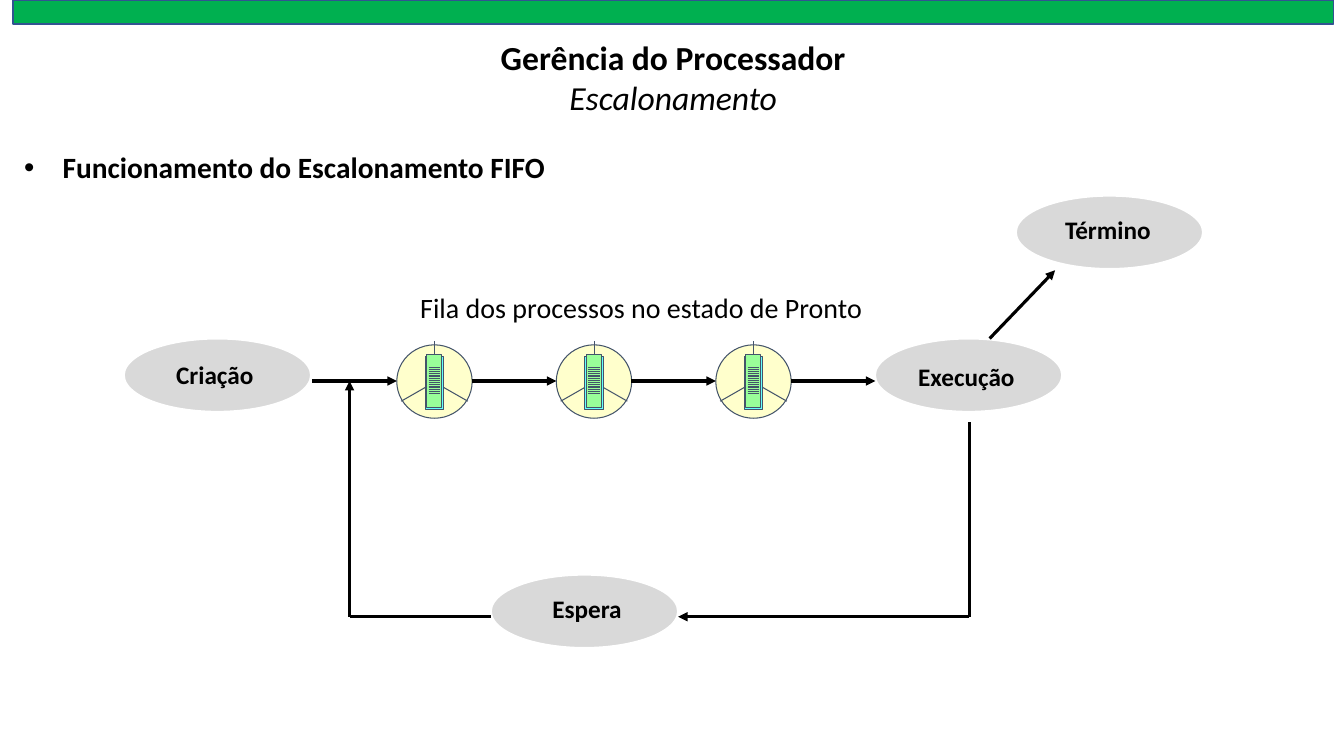
from lxml import etree
from pptx import Presentation
from pptx.dml.color import RGBColor
from pptx.enum.shapes import MSO_CONNECTOR, MSO_SHAPE
from pptx.enum.text import MSO_ANCHOR, PP_ALIGN
from pptx.oxml.ns import qn
from pptx.util import Cm, Pt

RECT, OVAL = MSO_SHAPE.RECTANGLE, MSO_SHAPE.OVAL
LINE = MSO_CONNECTOR.STRAIGHT
LEFT, MID = PP_ALIGN.LEFT, PP_ALIGN.CENTER
TOP = MSO_ANCHOR.TOP

BLACK = RGBColor(0x00, 0x00, 0x00)
WHITE = RGBColor(0xFF, 0xFF, 0xFF)
GREEN = RGBColor(0x00, 0xB0, 0x50)
BLUE = RGBColor(0x32, 0x54, 0x91)
GRAY = RGBColor(0xD9, 0xD9, 0xD9)
SLATE = RGBColor(0x44, 0x54, 0x6A)
CREAM = RGBColor(0xFF, 0xFF, 0xCC)
CYAN = RGBColor(0x66, 0xFF, 0xFF)
MINT = RGBColor(0x99, 0xFF, 0x99)

deck = Presentation()
deck.slide_width, deck.slide_height = Cm(33.87), Cm(19.05)
slide = deck.slides.add_slide(deck.slide_layouts[6])
shapes = slide.shapes


def add_form(kind, box, fill, edge, width):
    form = shapes.add_shape(kind, *map(Cm, box))
    form.shadow.inherit = False
    form.fill.solid()
    form.fill.fore_color.rgb = fill
    form.line.color.rgb = edge
    form.line.width = Pt(width)


def add_line(ends, color=BLACK, width=2.25, arrow=False):
    line = shapes.add_connector(LINE, *map(Cm, ends))
    line.line.color.rgb = color
    line.line.width = Pt(width)
    if arrow:
        tip = etree.SubElement(line.line._get_or_add_ln(), qn("a:tailEnd"))
        tip.set("type", "triangle")
    etree.SubElement(line._element.spPr, qn("a:effectLst"))


# Top bar
add_form(RECT, (0.33, 0, 33.27, 0.61), GREEN, BLUE, 1)

# State ovals
for left, top in [(3.12, 8.53), (22.05, 8.53), (12.37, 14.48), (25.6, 4.93)]:
    add_form(OVAL, (left, top, 4.72, 1.85), GRAY, WHITE, 1.5)

# Queue of ready processes
AXIS, FIRST, STEP = 9.6, 10, 4.02
BARS = 15
for node in range(3):
    left = FIRST + node * STEP
    mid = left + 0.95
    add_form(OVAL, (left, 8.69, 1.9, 1.85), CREAM, SLATE, 0.75)
    add_line((mid, 8.59, mid, AXIS), SLATE, 0.75)
    for side in (0.84, -0.84):
        add_line((mid, 9.63, mid + side, 10.11), SLATE, 0.75)
    add_form(RECT, (mid - 0.23, 8.99, 0.46, 1.32), CYAN, SLATE, 0.75)
    add_form(RECT, (mid - 0.2, 8.94, 0.38, 1.32), MINT, SLATE, 0.75)
    for bar in range(BARS):
        y = 9.27 + 0.64 * bar / (BARS - 1)
        add_line((mid - 0.15, y, mid + 0.14, y), SLATE, 0.75)

# Arrows along the queue
for gap in range(4):
    tip = FIRST + gap * STEP
    add_line((tip - 2.13, AXIS, tip, AXIS), arrow=True)

# Exit arrow and loop through the waiting state
for ends, arrow in [
    ((24.94, 8.53, 26.59, 6.81), True),
    ((24.43, 10.64, 24.43, 15.54), False),
    ((24.43, 15.54, 17.09, 15.54), True),
    ((12.37, 15.54, 8.81, 15.54), False),
    ((8.81, 15.54, 8.81, AXIS), True),
]:
    add_line(ends, arrow=arrow)

# Texts: box, wrap, alignment, bullet, paragraphs with their format
NAME = {"size": Pt(18), "bold": True}
TEXTS = [
    ((7.26, 0.81, 19.41, 2.31), True, MID, False, [
        ("Gerência do Processador", {"size": Pt(24), "bold": True}),
        ("Escalonamento", {"size": Pt(24), "italic": True})]),
    ((0.36, 3.73, 32.79, 1.07), True, LEFT, True, [
        ("Funcionamento do Escalonamento FIFO",
         {"size": Pt(21), "bold": True})]),
    ((10.34, 7.19, 11.86, 1.12), False, LEFT, False, [
        ("Fila dos processos no estado de Pronto", {"size": Pt(20)})]),
    ((4.19, 8.94, 2.46, 1.02), False, LEFT, False, [("Criação", NAME)]),
    ((22.89, 8.97, 2.95, 1.02), False, LEFT, False, [("Execução", NAME)]),
    ((13.67, 14.83, 2.26, 1.02), False, LEFT, False, [("Espera", NAME)]),
    ((26.59, 5.28, 2.69, 1.02), False, LEFT, False, [("Término", NAME)]),
]
for box, wrap, align, bullet, lines in TEXTS:
    frame = shapes.add_textbox(*map(Cm, box)).text_frame
    frame.word_wrap = wrap
    frame.vertical_anchor = TOP
    for count, (words, style) in enumerate(lines):
        para = frame.add_paragraph() if count else frame.paragraphs[0]
        para.alignment = align
        if bullet:
            props = para._p.get_or_add_pPr()
            props.set("marL", str(Cm(0.97)))
            props.set("indent", str(-Cm(0.97)))
            etree.SubElement(props, qn("a:buFont")).set("typeface", "Arial")
            etree.SubElement(props, qn("a:buChar")).set("char", "•")
            para.line_spacing = 0.9
        run = para.add_run()
        run.text = words
        run.font.color.rgb = BLACK
        for key, value in {"name": "Calibri", **style}.items():
            setattr(run.font, key, value)

deck.save("out.pptx")
